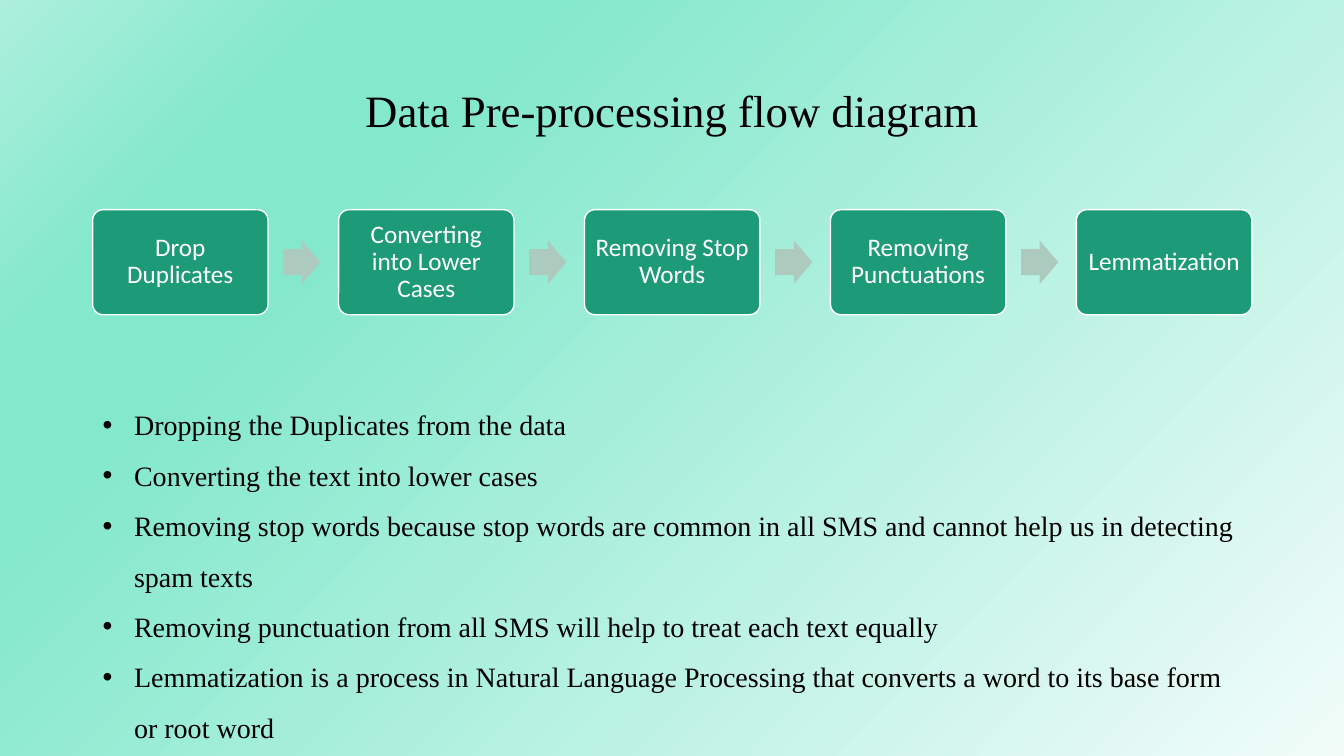
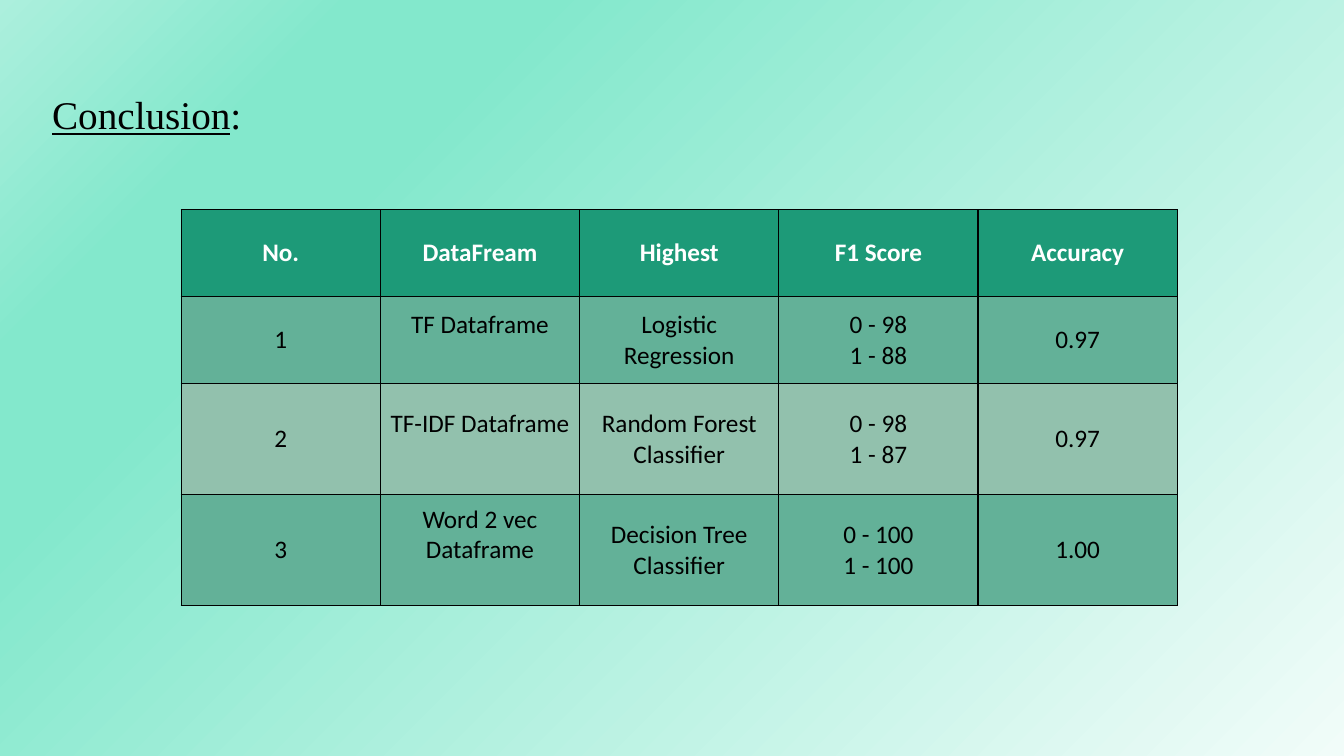
from dataclasses import dataclass

from pptx import Presentation
from pptx.dml.color import RGBColor
from pptx.enum.shapes import MSO_SHAPE
from pptx.enum.text import MSO_ANCHOR, PP_ALIGN
from pptx.oxml import parse_xml
from pptx.oxml.ns import nsdecls, qn
from pptx.util import Pt


@dataclass(frozen=True)
class Theme:
    green: str = "1D9A78"
    arrow: str = "ACCABE"
    row_dark: str = "63B198"
    row_light: str = "92C1AD"
    black: str = "000000"
    white: str = "FFFFFF"
    gradient: tuple = ((0, "F1FCF9"), (74, "83E8CC"), (83, "83E8CC"), (100, "ACEFDD"))
    serif: str = "Times New Roman"
    sans: str = "Calibri"
    title: int = 32
    heading: int = 28
    bullet: int = 20
    label: int = 18


T = Theme()
LEFT, WIDTH = 66.2, 828
CONTENT_TOP = 149.8

STEPS = ["Drop Duplicates", "Converting into Lower Cases", "Removing Stop Words",
         "Removing Punctuations", "Lemmatization"]
BULLETS = [
    "Dropping the Duplicates from the data",
    "Converting the text into lower cases",
    "Removing stop words because stop words are common in all SMS and cannot help us "
    "in detecting spam texts",
    "Removing punctuation from all SMS will help to treat each text equally",
    "Lemmatization is a process in Natural Language Processing that converts a word "
    "to its base form or root word",
]
RESULTS = [
    ["No.", "DataFream", "Highest", "F1 Score", "Accuracy"],
    ["1", "TF Dataframe", "Logistic Regression", "0 - 98\n1 - 88", "0.97"],
    ["2", "TF-IDF Dataframe", "Random Forest Classifier", "0 - 98\n1 - 87", "0.97"],
    ["3", "Word 2 vec Dataframe", "Decision Tree Classifier", "0 - 100\n1 - 100", "1.00"],
]


def set_background(master):
    """Give the master a gradient that starts in the bottom right corner."""
    master.background.fill.gradient()
    stops = "".join(f'<a:gs pos="{pos * 1000}"><a:srgbClr val="{color}"/></a:gs>'
                    for pos, color in T.gradient)
    grad = parse_xml(
        f'<a:gradFill {nsdecls("a")} rotWithShape="1"><a:gsLst>{stops}</a:gsLst>'
        '<a:path path="circle"><a:fillToRect l="100000" t="100000"/></a:path>'
        '<a:tileRect r="-100000" b="-100000"/></a:gradFill>')
    old = master.element.find(".//" + qn("a:gradFill"))
    old.getparent().replace(old, grad)


def format_text(tf, font, size, color, align=PP_ALIGN.LEFT, spacing=1.0, bold=False):
    for p in tf.paragraphs:
        p.alignment = align
        p.line_spacing = spacing
        for r in p.runs:
            r.font.name = font
            r.font.size = Pt(size)
            r.font.bold = bold
            r.font.color.rgb = RGBColor.from_string(color)


def add_text(slide, text, left, top, width, height, anchor=MSO_ANCHOR.TOP):
    tf = slide.shapes.add_textbox(Pt(left), Pt(top), Pt(width), Pt(height)).text_frame
    tf.word_wrap = True
    tf.vertical_anchor = anchor
    tf.text = text
    return tf


def add_filled(slide, kind, left, top, width, height, fill, adjustments):
    sp = slide.shapes.add_shape(kind, Pt(left), Pt(top), Pt(width), Pt(height))
    sp.shadow.inherit = False
    sp.fill.solid()
    sp.fill.fore_color.rgb = RGBColor.from_string(fill)
    sp.line.fill.background()
    for i, value in enumerate(adjustments):
        sp.adjustments[i] = value
    return sp


def add_step(slide, text, left, top, width, height):
    sp = add_filled(slide, MSO_SHAPE.ROUNDED_RECTANGLE, left, top, width, height,
                    T.green, [0.1])
    sp.line.color.rgb = RGBColor.from_string(T.white)
    sp.line.width = Pt(1)
    tf = sp.text_frame
    tf.margin_left = tf.margin_right = tf.margin_top = tf.margin_bottom = Pt(5)
    tf.word_wrap = True
    tf.vertical_anchor = MSO_ANCHOR.MIDDLE
    tf.text = text
    format_text(tf, T.sans, T.label, T.white, PP_ALIGN.CENTER, 0.9)


def add_flow(slide, steps):
    """Place the steps at an equal pitch, with an arrow in each gap."""
    box_w, box_h = 125.3, 75
    arrow_w, arrow_h = 26.6, 31
    pitch = (WIDTH - box_w) / (len(steps) - 1)
    arrow_x = box_w + (pitch - box_w - arrow_w) / 2 - 1
    for i, text in enumerate(steps):
        left = LEFT + i * pitch
        add_step(slide, text, left, CONTENT_TOP, box_w, box_h)
        if i < len(steps) - 1:
            add_filled(slide, MSO_SHAPE.RIGHT_ARROW, left + arrow_x,
                       CONTENT_TOP + (box_h - arrow_h) / 2, arrow_w, arrow_h,
                       T.arrow, [0.6, 0.5])


def add_bullets(slide, items):
    tf = add_text(slide, "\n".join(items), LEFT, 275.8, WIDTH, 264)
    format_text(tf, T.serif, T.bullet, T.black, spacing=1.5)
    for p in tf.paragraphs:
        pPr = p._p.get_or_add_pPr()
        pPr.set("marL", str(Pt(22.5)))
        pPr.set("indent", str(-Pt(22.5)))
        pPr.append(parse_xml(f'<a:buFont {nsdecls("a")} typeface="Arial"/>'))
        pPr.append(parse_xml(f'<a:buChar {nsdecls("a")} char="•"/>'))


def set_borders(cell):
    tcPr = cell._tc.get_or_add_tcPr()
    for i, side in enumerate(("lnL", "lnR", "lnT", "lnB")):
        tcPr.insert(i, parse_xml(
            f'<a:{side} {nsdecls("a")} w="{Pt(1)}"><a:solidFill>'
            f'<a:srgbClr val="{T.black}"/></a:solidFill></a:{side}>'))


def fill_cell(cell, text, fill, color, bold):
    cell.text = text
    cell.vertical_anchor = MSO_ANCHOR.MIDDLE
    cell.margin_left = cell.margin_right = Pt(6)
    cell.fill.solid()
    cell.fill.fore_color.rgb = RGBColor.from_string(fill)
    format_text(cell.text_frame, T.sans, T.label, color, PP_ALIGN.CENTER, bold=bold)
    set_borders(cell)


def add_results_table(slide, rows):
    heights = [62.2, 62.2, 79.2, 79.2]
    col_w = 142.3
    cols = len(rows[0])
    table = slide.shapes.add_table(len(rows), cols, Pt(129.4), Pt(CONTENT_TOP),
                                   Pt(col_w * cols), Pt(sum(heights))).table
    table.horz_banding = False
    for col in table.columns:
        col.width = Pt(col_w)
    for r, values in enumerate(rows):
        table.rows[r].height = Pt(heights[r])
        header = r == 0
        fill = T.green if header else T.row_dark if r % 2 else T.row_light
        for c, text in enumerate(values):
            fill_cell(table.cell(r, c), text, fill, T.white if header else T.black, header)
        if not header:
            table.cell(r, 1).margin_bottom = Pt(25.6)


def build_flow_slide(slide):
    tf = add_text(slide, "Data Pre-processing flow diagram", LEFT, 28.8, WIDTH, 104.4,
                  MSO_ANCHOR.MIDDLE)
    format_text(tf, T.serif, T.title, T.black, PP_ALIGN.CENTER, 0.9)
    add_flow(slide, STEPS)
    add_bullets(slide, BULLETS)


def build_conclusion_slide(slide):
    tf = add_text(slide, "Conclusion", 30.2, 64.8, 861, 50)
    p = tf.paragraphs[0]
    p.add_run().text = ":"
    format_text(tf, T.serif, T.heading, T.black, spacing=0.9)
    p.runs[0].font.underline = True
    add_results_table(slide, RESULTS)


def main():
    prs = Presentation()
    prs.slide_width, prs.slide_height = Pt(960), Pt(540)
    set_background(prs.slide_master)
    for build in (build_flow_slide, build_conclusion_slide):
        build(prs.slides.add_slide(prs.slide_layouts[6]))
    prs.save("out.pptx")


if __name__ == "__main__":
    main()
